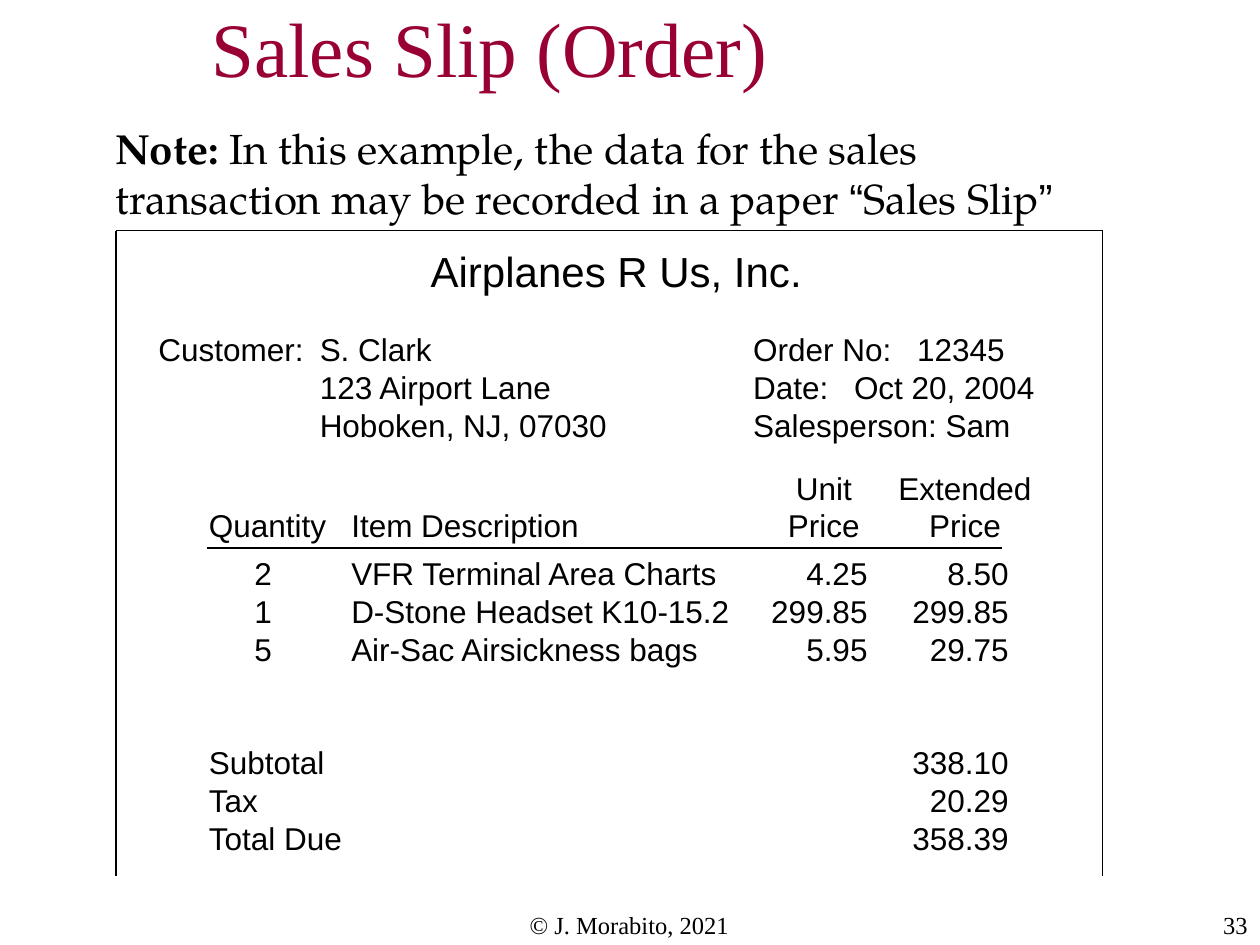
from lxml import etree
from pptx import Presentation
from pptx import util as u
from pptx.dml.color import RGBColor
from pptx.enum import shapes, text
from pptx.oxml import ns

Inches = u.Inches
HUES = {"ink": "000000", "title": "990033"}
SANS, SERIF, BOOK = "Arial", "Times New Roman", "TeX Gyre Pagella"
ALIGN = text.PP_ALIGN


def style(font, face, size, hue="ink"):
    """Set face, size and colour of a font."""
    font.name, font.size = face, u.Pt(size)
    font.color.rgb = RGBColor.from_string(HUES[hue])


def set_tabs(para, stops):
    """Give a paragraph its tab stops as (inches, kind) pairs."""
    props = para._p.get_or_add_pPr()
    tabs = etree.SubElement(props, ns.qn("a:tabLst"))
    for place, kind in stops:
        etree.SubElement(tabs, ns.qn("a:tab"), pos=str(Inches(place)), algn=kind)


def add_text(slide, box, lines, size=18, face=SANS, stops=(), align=ALIGN.LEFT):
    """Add a text box with one paragraph per line and return its frame."""
    frame = slide.shapes.add_textbox(*map(Inches, box)).text_frame
    frame.word_wrap = True
    for i, line in enumerate(lines):
        para = frame.add_paragraph() if i else frame.paragraphs[0]
        para.text, para.alignment = line, align
        if stops:
            set_tabs(para, stops)
        style(para.font, face, size)
    return frame


def add_rule(slide, x1, y1, x2, y2):
    """Draw a thin straight line."""
    rule = slide.shapes.add_connector(
        shapes.MSO_CONNECTOR.STRAIGHT, *map(Inches, (x1, y1, x2, y2)))
    rule.line.width = u.Pt(1)
    rule.line.color.rgb = RGBColor.from_string(HUES["ink"])
    etree.SubElement(rule._element.spPr, ns.qn("a:effectLst"))


def add_title(slide, box, words):
    """Place and format the title."""
    title = slide.shapes.title
    title.left, title.top, title.width, title.height = map(Inches, box)
    frame = title.text_frame
    frame.text = words
    frame.vertical_anchor = text.MSO_ANCHOR.MIDDLE
    para = frame.paragraphs[0]
    para.alignment = ALIGN.LEFT
    style(para.font, SERIF, 44, "title")


def add_note(slide, box):
    """Write the note with its bold lead word."""
    para = add_text(slide, box, [""], 24, BOOK).paragraphs[0]
    parts = [
        ("Note:", BOOK),
        (" In this example, the data for the sales transaction may be recorded in a paper ", BOOK),
        ("“", SANS), ("Sales Slip", BOOK), ("”", SANS),
    ]
    for i, (words, face) in enumerate(parts):
        run = para.add_run()
        run.text = words
        style(run.font, face, 24)
        run.font.bold = i == 0


def add_head(slide, x, y):
    """Write the firm, customer and order details of the slip."""
    add_text(slide, (x + 2.4, y + 0.07, 3.5, 0.5), ["Airplanes R Us, Inc."], 24)
    add_text(slide, (x + 0.24, y + 0.74, 4.2, 1),
             ["Customer:\tS. Clark", "\t123 Airport Lane", "\tHoboken, NJ, 07030"],
             stops=[(1.28, "l")])
    add_text(slide, (x + 4.96, y + 0.74, 2.8, 1),
             ["Order No:\t12345", "Date:\tOct 20, 2004", "Salesperson: Sam"],
             stops=[(0.8, "l"), (1.3, "l")])


def add_items(slide, x, y):
    """Write the column heads, item lines and totals of the slip."""
    add_text(slide, (x, y, 6.91, 0.7),
             ["\t\tUnit\tExtended", "Quantity\tItem Description\tPrice\tPrice"],
             stops=[(0, "l"), (1.13, "l"), (4.88, "ctr"), (6, "ctr")])
    add_rule(slide, x + 0.08, y + 0.68, x + 6.39, y + 0.68)
    rows = [
        "\t2\tVFR Terminal Area Charts\t4.25\t8.50",
        "\t1\tD-Stone Headset K10-15.2\t299.85\t299.85",
        "\t5\tAir-Sac Airsickness bags\t5.95\t29.75",
        "Subtotal\t\t\t338.10", "Tax\t\t\t\t20.29", "Total Due\t\t\t358.39",
    ]
    stops = [(0, "l"), (0.5, "dec"), (1.13, "l"), (4.88, "dec"), (6, "dec")]
    frame = add_text(slide, (x, y + 0.68, 6.84, 2.5), rows, stops=stops)
    frame.paragraphs[3].space_before = u.Pt(43)


def add_slip(slide, x, y, wide, high):
    """Draw the open frame of the sales slip and fill it."""
    add_rule(slide, x, y, x, y + high)
    add_rule(slide, x, y, x + wide, y)
    add_rule(slide, x + wide, y, x + wide, y + high)
    add_head(slide, x, y)
    add_items(slide, x + 0.64, y + 1.84)


def add_foot(slide, y):
    """Write the copyright line and the page number."""
    add_text(slide, (3.41, y, 3.17, 0.25), ["© J. Morabito, 2021"], 14, SERIF,
             align=ALIGN.CENTER)
    add_text(slide, (8.58, y, 1.42, 0.33), ["33"], 14, SERIF, align=ALIGN.RIGHT)


def main():
    """Build and save the slide."""
    deck = Presentation()
    deck.slide_width, deck.slide_height = Inches(10), Inches(7.5)
    slide = deck.slides.add_slide(deck.slide_layouts[5])
    add_title(slide, (1.58, 0.08, 8.42, 0.58), "Sales Slip (Order)")
    add_slip(slide, 0.92, 1.83, 7.83, 5.12)
    add_note(slide, (0.82, 0.92, 8.05, 1.3))
    add_foot(slide, 7.17)
    deck.save("out.pptx")


if __name__ == "__main__":
    main()
